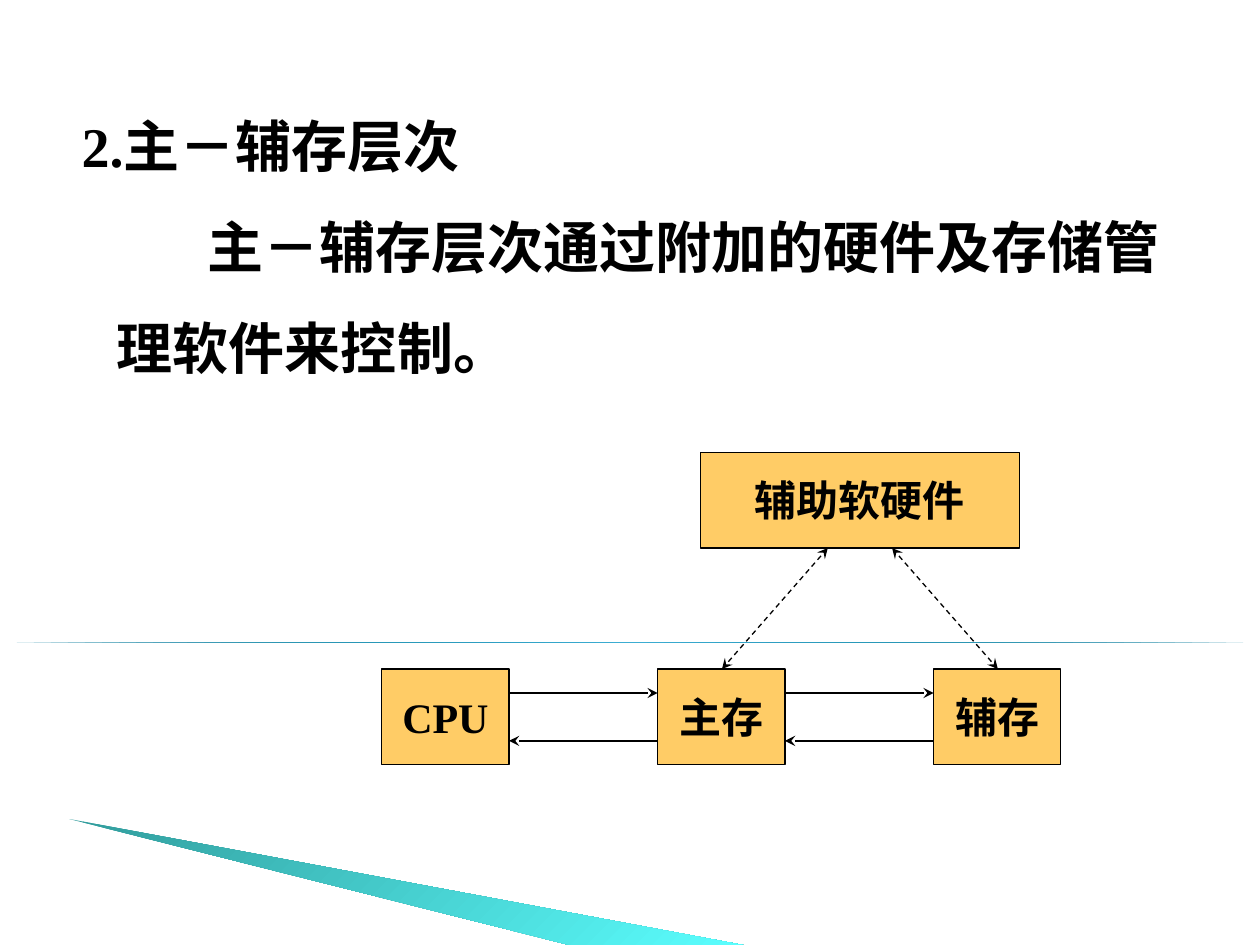
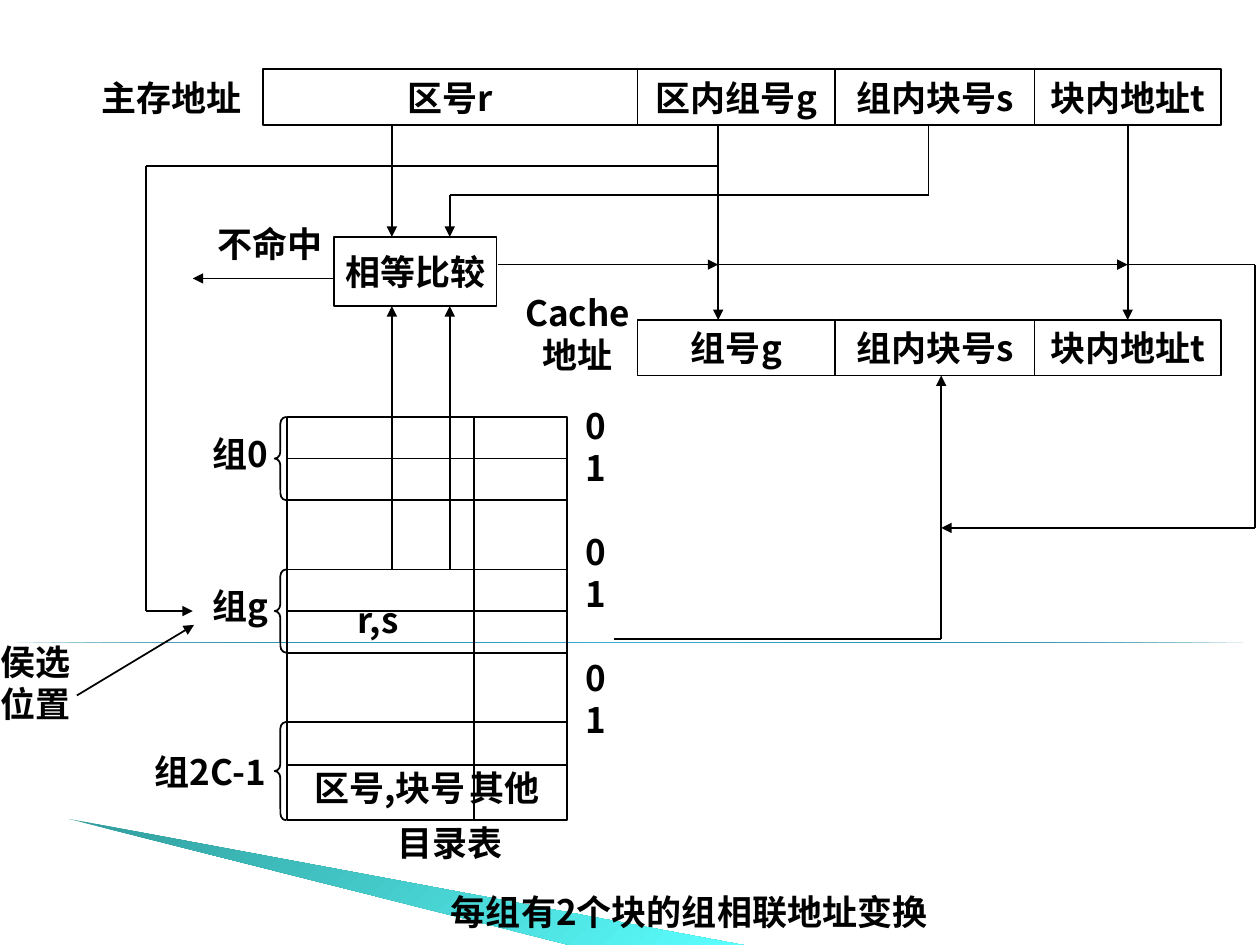
from copy import deepcopy

from lxml import etree
from pptx import Presentation
from pptx.dml.color import RGBColor
from pptx.enum.dml import MSO_LINE
from pptx.enum.shapes import MSO_CONNECTOR, MSO_SHAPE
from pptx.enum.text import MSO_ANCHOR, PP_ALIGN
from pptx.oxml.ns import qn
from pptx.util import Inches, Pt

RECTANGLE = MSO_SHAPE.RECTANGLE
TRIANGLE = MSO_SHAPE.RIGHT_TRIANGLE
BRACE = MSO_SHAPE.LEFT_BRACE
STRAIGHT = MSO_CONNECTOR.STRAIGHT
DASH = MSO_LINE.DASH
TOP, MIDDLE = MSO_ANCHOR.TOP, MSO_ANCHOR.MIDDLE
LEFT, CENTER = PP_ALIGN.LEFT, PP_ALIGN.CENTER

BLACK = "000000"
NODE_FILL = "FFCC66"
RULE_COLORS = ("007897", "4ABBE0", "007897")
WEDGE_COLORS = ("319C9C", "5BFFFF")
WEDGE_POINTS = [(0.55, 6.5), (5.95, 7.51), (4.56, 7.51)]
SERIF = "Times New Roman"
SANS = "Noto Sans CJK SC"


def color(value):
    return RGBColor.from_string(value)


def fill_gradient(shape, colors, angle):
    shape.fill.gradient()
    shape.fill.gradient_angle = angle
    stop_list = shape.fill._xPr.find(".//" + qn("a:gsLst"))
    while len(stop_list) < len(colors):
        stop_list.append(deepcopy(stop_list[-1]))
    for index, (stop, value) in enumerate(zip(shape.fill.gradient_stops, colors)):
        stop.color.rgb = color(value)
        stop.position = index / (len(colors) - 1)
    shape.line.fill.background()
    shape.shadow.inherit = False


def add_background(page):
    rule = page.shapes.add_shape(TRIANGLE, 0, Inches(5.1), Inches(10), Inches(0))
    fill_gradient(rule, RULE_COLORS, 310)
    points = [(Inches(x), Inches(y)) for x, y in WEDGE_POINTS]
    builder = page.shapes.build_freeform(*points[0])
    builder.add_line_segments(points[1:], close=True)
    fill_gradient(builder.convert_to_shape(), WEDGE_COLORS, 315)


def format_span(span, size, latin):
    span.font.size = Pt(size)
    span.font.bold = True
    span.font.color.rgb = color(BLACK)
    span.font.name = latin
    east_asian = etree.SubElement(span.font._element, qn("a:ea"))
    east_asian.set("typeface", SANS)


def write(box, text, size=20, latin=SANS, align=CENTER, anchor=TOP, margin=0.01, pitch=24):
    frame = box.text_frame
    frame.word_wrap = True
    frame.margin_left = frame.margin_right = Inches(margin)
    frame.margin_top = frame.margin_bottom = Inches(min(margin, 0.05))
    frame.vertical_anchor = anchor
    frame.text = text
    for para in frame.paragraphs:
        para.alignment = align
        if pitch:
            para.line_spacing = Pt(pitch)
        for span in para.runs:
            format_span(span, size, latin)
    return frame


def add_label(page, left, top, width, height, text, **style):
    box = page.shapes.add_textbox(Inches(left), Inches(top), Inches(width), Inches(height))
    return write(box, text, **style)


def add_outline(page, preset, left, top, width, height, weight=1, fill=None):
    shape = page.shapes.add_shape(
        preset, Inches(left), Inches(top), Inches(width), Inches(height))
    shape.shadow.inherit = False
    shape.line.color.rgb = color(BLACK)
    shape.line.width = Pt(weight)
    if fill:
        shape.fill.solid()
        shape.fill.fore_color.rgb = color(fill)
    else:
        shape.fill.background()
    return shape


def add_node(page, left, top, width, text):
    node = add_outline(page, RECTANGLE, left, top, width, 0.76, 0.75, NODE_FILL)
    frame = write(node, text, 24, SERIF, anchor=MIDDLE, margin=0.1, pitch=None)
    frame.word_wrap = False


def add_field(page, left, top, width, text, height=0.44):
    field = add_outline(page, RECTANGLE, left, top, width, height)
    write(field, text, anchor=MIDDLE, pitch=None)


def add_line(page, start, end, weight=1, head=None, tail=None, dashed=False):
    line = page.shapes.add_connector(STRAIGHT, *map(Inches, start + end))
    line.line.color.rgb = color(BLACK)
    line.line.width = Pt(weight)
    if dashed:
        line.line.dash_style = DASH
    properties = line._element.spPr
    outline = properties.find(qn("a:ln"))
    for tag, kind in (("a:headEnd", head), ("a:tailEnd", tail)):
        if kind:
            etree.SubElement(outline, qn(tag)).set("type", kind)
    etree.SubElement(properties, qn("a:effectLst"))


def add_route(page, *points):
    last = len(points) - 2
    for index, (start, end) in enumerate(zip(points, points[1:])):
        add_line(page, start, end, tail="triangle" if index == last else None)


def build_hierarchy(page):
    frame = add_label(
        page, 0.43, 0.57, 9.13, 2.6,
        "2.主－辅存层次\n主－辅存层次通过附加的硬件及存储管理软件来控制。",
        size=32, latin=SERIF, align=LEFT, margin=0.1, pitch=57.6)
    for para, indent in zip(frame.paragraphs, (-0.28, 0.72)):
        properties = para._p.get_or_add_pPr()
        properties.set("marL", str(Inches(0.4)))
        properties.set("indent", str(Inches(indent)))

    add_node(page, 5.56, 3.59, 2.53, "辅助软硬件")
    first, step, width = 3.03, 2.19, 1.01
    for index, name in enumerate(("CPU", "主存", "辅存")):
        add_node(page, first + index * step, 5.31, width, name)
    for index in range(2):
        left = first + index * step + width
        right = first + (index + 1) * step
        add_line(page, (left, 5.5), (right, 5.5), 0.75, tail="stealth")
        add_line(page, (right, 5.88), (left, 5.88), 0.75, tail="stealth")
    for bottom, top in ((5.73, 6.57), (7.92, 7.08)):
        add_line(page, (bottom, 5.31), (top, 4.35), 0.75, "stealth", "stealth", True)


def add_directory(page):
    left, right, top, bottom = 2.28, 4.5, 3.31, 6.51
    add_outline(page, RECTANGLE, left, top, right - left, bottom - top)
    for y in (3.64, 3.97, 4.52, 4.85, 5.18, 5.73, 6.07):
        add_line(page, (left, y), (right, y))
    add_line(page, (3.76, top), (3.76, bottom))
    for y, height in ((top, 0.66), (4.52, 0.66), (5.73, 0.78)):
        brace = add_outline(page, BRACE, 2.18, y, 0.09, height)
        brace.adjustments[0] = 0.6
    add_label(page, 1.63, 3.42, 0.55, 0.44, "组0")
    add_label(page, 1.63, 4.63, 0.55, 0.44, "组g")
    add_label(page, 1.16, 5.95, 1.02, 0.44, "组2C-1")
    add_label(page, 2.83, 4.74, 0.65, 0.44, "r,s", align=LEFT)
    add_label(page, 3.02, 6.51, 1.11, 0.44, "目录表")

    entry = add_label(page, left, 6.07, right - left, 0.44, "区号,块号").paragraphs[0]
    for text, size in ((" ", 10), ("其他", 20)):
        span = entry.add_run()
        span.text = text
        format_span(span, size, SANS)

    numbers = add_label(page, 4.59, 3.2, 0.28, 3.31, "0\n1\n0\n1\n0\n1")
    for para in numbers.paragraphs[2::2]:
        para.space_before = Pt(24)


def build_mapping(page):
    add_directory(page)
    add_label(page, 0.62, 0.44, 1.48, 0.66, "主存地址", anchor=MIDDLE)
    add_label(page, 4.13, 2.21, 0.91, 0.88, "Cache\n地址", anchor=MIDDLE)
    columns = ((5.06, 1.57), (6.63, 1.58), (8.21, 1.48))
    rows = ((0.55, ("区内组号g", "组内块号s", "块内地址t")),
            (2.54, ("组号g", "组内块号s", "块内地址t")))
    add_field(page, 2.09, 0.55, 2.97, "区号r")
    for top, names in rows:
        for (left, width), name in zip(columns, names):
            add_field(page, left, top, width, name)

    add_field(page, 2.65, 1.88, 1.29, "相等比较", 0.55)
    add_label(page, 1.63, 1.76, 1.02, 0.44, "不命中")
    add_label(page, -0.04, 5.07, 0.65, 0.88, "侯选位置")
    add_label(page, 2.83, 7.06, 5.28, 0.44, "每组有2个块的组相联地址变换")

    add_route(page, (3.11, 0.99), (3.11, 1.88))
    for x in (3.11, 3.57):
        add_route(page, (x, 4.52), (x, 2.43))
    for x in (5.7, 8.95):
        add_route(page, (x, 0.99), (x, 2.54))
    add_route(page, (7.37, 0.99), (7.37, 1.55), (3.57, 1.55), (3.57, 1.88))
    add_route(page, (5.7, 1.32), (1.16, 1.32), (1.16, 4.85), (1.53, 4.85))
    add_route(page, (2.65, 2.21), (1.53, 2.21))
    add_route(page, (3.95, 2.1), (5.7, 2.1))
    add_route(page, (5.7, 2.1), (8.95, 2.1))
    add_route(page, (8.95, 2.1), (9.96, 2.1), (9.96, 4.19), (7.47, 4.19))
    add_route(page, (4.87, 5.07), (7.47, 5.07), (7.47, 2.98))
    add_route(page, (0.61, 5.52), (1.54, 4.96))


def main():
    deck = Presentation()
    deck.slide_width, deck.slide_height = Inches(10), Inches(7.5)
    for build in (build_hierarchy, build_mapping):
        page = deck.slides.add_slide(deck.slide_layouts[6])
        add_background(page)
        build(page)
    deck.save("out.pptx")


if __name__ == "__main__":
    main()
